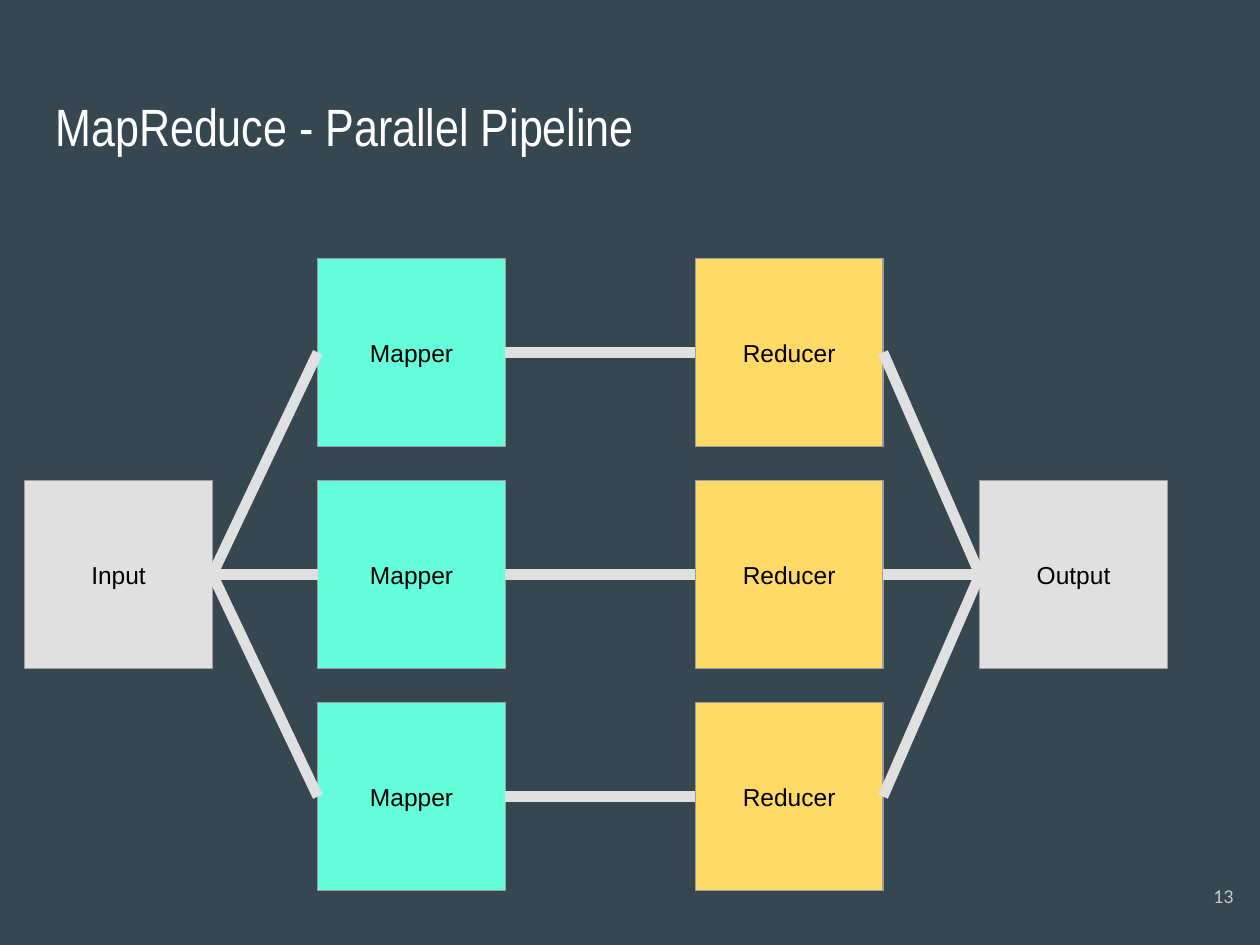
import pptx
import pptx.dml.color
import pptx.enum.shapes
import pptx.enum.text
import pptx.oxml.ns
import pptx.util
from lxml import etree

Pt = pptx.util.Pt
PP_ALIGN = pptx.enum.text.PP_ALIGN
MIDDLE = pptx.enum.text.MSO_ANCHOR.MIDDLE
LEFT_SITE, RIGHT_SITE = 1, 3


def rgb(value):
    return pptx.dml.color.RGBColor.from_string(value)


def set_text(s, text, size, font, color, align, anchor):
    tf = s.text_frame
    tf.text = text
    tf.word_wrap = True
    tf.vertical_anchor = anchor
    tf.margin_left = tf.margin_right = tf.margin_top = tf.margin_bottom = Pt(7.2)
    p = tf.paragraphs[0]
    p.alignment = align
    r = p.runs[0]
    r.font.size = Pt(size)
    r.font.name = font
    r.font.color.rgb = rgb(color)


prs = pptx.Presentation()
prs.slide_width, prs.slide_height = Pt(720), Pt(540)
slide = prs.slides.add_slide(prs.slide_layouts[5])
slide.background.fill.solid()
slide.background.fill.fore_color.rgb = rgb("37474F")

title = slide.shapes.title
title.left, title.top, title.width, title.height = Pt(24.5), Pt(46.8), Pt(671), Pt(59.8)
set_text(title, "MapReduce - Parallel Pipeline", 30, "Arial Narrow", "FFFFFF",
         PP_ALIGN.LEFT, pptx.enum.text.MSO_ANCHOR.TOP)

# Stages of the pipeline: label, left edge, fill, rows used
side, first_top, pitch = 107.2, 147.8, 126.9
stages = [
    ("Input", 14.2, "E0E0E0", [1]),
    ("Mapper", 181.6, "64FFDA", [0, 1, 2]),
    ("Reducer", 397.4, "FFD966", [0, 1, 2]),
    ("Output", 559.9, "E0E0E0", [1]),
]
boxes = {}
for label, left, fill, rows in stages:
    boxes[label] = []
    for row in rows:
        s = slide.shapes.add_shape(pptx.enum.shapes.MSO_SHAPE.RECTANGLE,
                                   Pt(left), Pt(first_top + row * pitch), Pt(side), Pt(side))
        s.shadow.inherit = False
        s.fill.solid()
        s.fill.fore_color.rgb = rgb(fill)
        s.line.color.rgb = rgb("9E9E9E")
        s.line.width = Pt(0.75)
        set_text(s, label, 14, "Arial", "000000", PP_ALIGN.CENTER, MIDDLE)
        boxes[label].append(s)

# Input fans out to the mappers, each mapper feeds a reducer, reducers join in Output
links = []
for mapper, reducer in zip(boxes["Mapper"], boxes["Reducer"]):
    links += [(boxes["Input"][0], mapper), (mapper, reducer), (reducer, boxes["Output"][0])]
for source, target in links:
    line = slide.shapes.add_connector(pptx.enum.shapes.MSO_CONNECTOR.STRAIGHT, 0, 0, 0, 0)
    line.begin_connect(source, RIGHT_SITE)
    line.end_connect(target, LEFT_SITE)
    line.line.color.rgb = rgb("E0E0E0")
    line.line.width = Pt(6)
    etree.SubElement(line._element.spPr, pptx.oxml.ns.qn("a:effectLst"))

number = slide.shapes.add_textbox(Pt(668.9), Pt(491.8), Pt(43.2), Pt(41))
set_text(number, "13", 10, "Lato", "CACACA", PP_ALIGN.RIGHT, MIDDLE)

prs.save("out.pptx")
